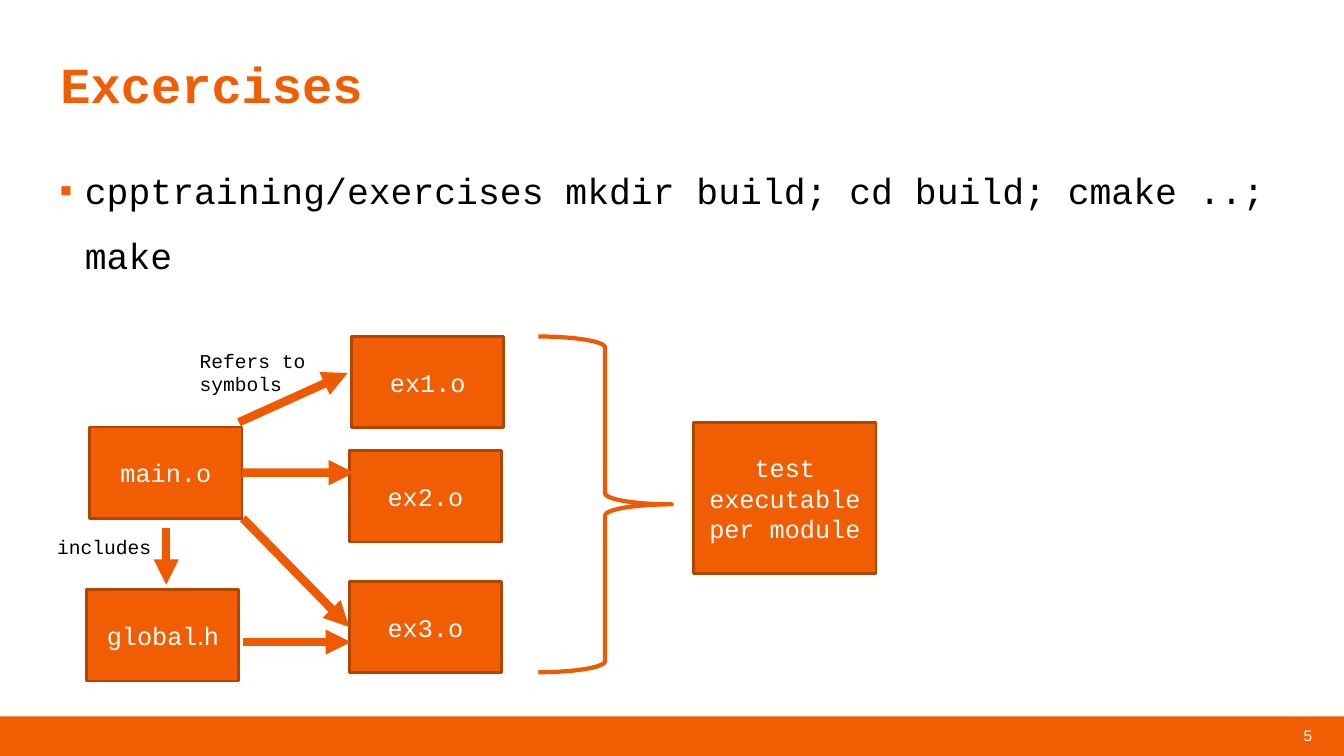
from lxml import etree
from pptx import Presentation
from pptx.dml.color import RGBColor
from pptx.enum.shapes import MSO_CONNECTOR, MSO_SHAPE
from pptx.enum.text import MSO_ANCHOR, MSO_AUTO_SIZE, PP_ALIGN
from pptx.oxml.ns import qn
from pptx.util import Cm, Pt

RECTANGLE, BRACE = MSO_SHAPE.RECTANGLE, MSO_SHAPE.RIGHT_BRACE
STRAIGHT = MSO_CONNECTOR.STRAIGHT
TOP, MIDDLE = MSO_ANCHOR.TOP, MSO_ANCHOR.MIDDLE
LEFT, CENTER = PP_ALIGN.LEFT, PP_ALIGN.CENTER
NO_AUTOFIT = MSO_AUTO_SIZE.NONE

ORANGE = RGBColor(0xF1, 0x5D, 0x03)
ARROW_ORANGE = RGBColor(0xEF, 0x5A, 0x00)
BORDER = RGBColor(0xB2, 0x45, 0x02)
WHITE = RGBColor(0xFF, 0xFF, 0xFF)
BLACK = RGBColor(0, 0, 0)
MONO, SANS = "Courier New", "Arial"
LEFT_SIDE, RIGHT_SIDE = 1, 3

TITLE = "Excercises"
COMMAND = "cpptraining/exercises mkdir build; cd build; cmake ..; make"
PAGE_NUMBER = "5"
FILE_SIZE = (3.84, 2.3)
TEST_SIZE = (4.6, 3.82)
BOXES = {
    "main": (["main.o"], 2.26, 10.76, FILE_SIZE),
    "ex1": (["ex1.o"], 8.86, 8.48, FILE_SIZE),
    "ex2": (["ex2.o"], 8.8, 11.36, FILE_SIZE),
    "ex3": (["ex3.o"], 8.8, 14.65, FILE_SIZE),
    "test": (["test executable per module"], 17.48, 10.64, TEST_SIZE),
    "global": (["global", ".h"], 2.18, 14.86, FILE_SIZE),
}
ARROWS = [
    ((6.12, 13.06), (8.8, 15.8), None, "ex3"),
    ((6.02, 10.64), (8.76, 9.4), None, None),
    ((6.1, 11.91), (8.92, 11.91), "main", None),
    ((6.12, 16.18), (8.84, 16.18), None, None),
    ((4.19, 13.31), (4.19, 14.73), None, None),
]
LABELS = [
    ("includes", 1.19, 13.36, 0.86),
    ("Refers to\vsymbols", 4.78, 8.66, 1.45),
]
LABEL_WIDTH = 4.65


def place(shape, left, top, width, height):
    shape.left, shape.top = Cm(left), Cm(top)
    shape.width, shape.height = Cm(width), Cm(height)


def clear_margins(frame):
    frame.margin_left = frame.margin_right = 0
    frame.margin_top = frame.margin_bottom = 0


def style(paragraph, size, color, name=MONO, bold=False, align=LEFT):
    paragraph.alignment = align
    font = paragraph.font
    font.size, font.name, font.bold = Pt(size), name, bold
    font.color.rgb = color


def fill_placeholder(placeholder, text, area, line_spacing):
    place(placeholder, *area)
    frame = placeholder.text_frame
    frame.text = text
    frame.auto_size, frame.vertical_anchor = NO_AUTOFIT, TOP
    clear_margins(frame)
    paragraph = frame.paragraphs[0]
    paragraph.line_spacing = line_spacing
    return paragraph


def add_bullet(paragraph):
    properties = paragraph._p.get_or_add_pPr()
    properties.set("marL", str(Cm(0.64)))
    properties.set("indent", str(-Cm(0.64)))
    color = etree.SubElement(properties, qn("a:buClr"))
    etree.SubElement(color, qn("a:srgbClr"), val=str(ORANGE))
    etree.SubElement(properties, qn("a:buFont"), typeface=SANS)
    etree.SubElement(properties, qn("a:buChar"), char="▪")


def add_rectangle(slide, left, top, width, height):
    shape = slide.shapes.add_shape(RECTANGLE, Cm(left), Cm(top), Cm(width), Cm(height))
    shape.shadow.inherit = False
    shape.fill.solid()
    shape.fill.fore_color.rgb = ORANGE
    shape.line.fill.background()
    shape.text_frame.vertical_anchor = MIDDLE
    return shape


def add_box(slide, parts, left, top, size):
    box = add_rectangle(slide, left, top, *size)
    box.line.color.rgb, box.line.width = BORDER, Pt(2)
    paragraph = box.text_frame.paragraphs[0]
    for part in parts:
        paragraph.add_run().text = part
    style(paragraph, 18, WHITE, align=CENTER)
    for extension in paragraph.runs[1:]:
        extension.font.name = SANS
    return box


def add_arrow(slide, start, end):
    arrow = slide.shapes.add_connector(STRAIGHT, *map(Cm, start + end))
    arrow.line.color.rgb, arrow.line.width = ARROW_ORANGE, Pt(6)
    etree.SubElement(arrow.line._get_or_add_ln(), qn("a:tailEnd"), type="triangle")
    etree.SubElement(arrow._element.spPr, qn("a:effectLst"))
    return arrow


def main():
    presentation = Presentation()
    presentation.slide_width, presentation.slide_height = Cm(33.87), Cm(19.05)
    slide = presentation.slides.add_slide(presentation.slide_layouts[1])

    title = fill_placeholder(slide.shapes.title, TITLE, (1.52, 1.52, 30.8, 3.1), 0.9)
    style(title, 36, ORANGE, bold=True)
    command = fill_placeholder(slide.placeholders[1], COMMAND, (1.5, 3.68, 30.8, 12.5), 1.5)
    command.space_before = Pt(10)
    add_bullet(command)
    style(command, 26, BLACK)

    add_rectangle(slide, 0, 18.05, 33.87, 1)
    number = add_rectangle(slide, 32.56, 18.29, 0.8, 0.5)
    clear_margins(number.text_frame)
    number.text_frame.text = PAGE_NUMBER
    style(number.text_frame.paragraphs[0], 11, WHITE, SANS, align=CENTER)

    boxes = {name: add_box(slide, *box) for name, box in BOXES.items()}
    for start, end, source, target in ARROWS:
        arrow = add_arrow(slide, start, end)
        if source:
            arrow.begin_connect(boxes[source], RIGHT_SIDE)
        if target:
            arrow.end_connect(boxes[target], LEFT_SIDE)

    brace = slide.shapes.add_shape(BRACE, Cm(13.57), Cm(8.48), Cm(3.36), Cm(8.46))
    brace.shadow.inherit = False
    brace.fill.background()
    brace.line.color.rgb, brace.line.width = ARROW_ORANGE, Pt(3)

    for text, left, top, height in LABELS:
        label = slide.shapes.add_textbox(Cm(left), Cm(top), Cm(LABEL_WIDTH), Cm(height))
        label.text_frame.word_wrap = True
        paragraph = label.text_frame.paragraphs[0]
        paragraph.text = text
        style(paragraph, 14, BLACK)

    presentation.save("out.pptx")


if __name__ == "__main__":
    main()
